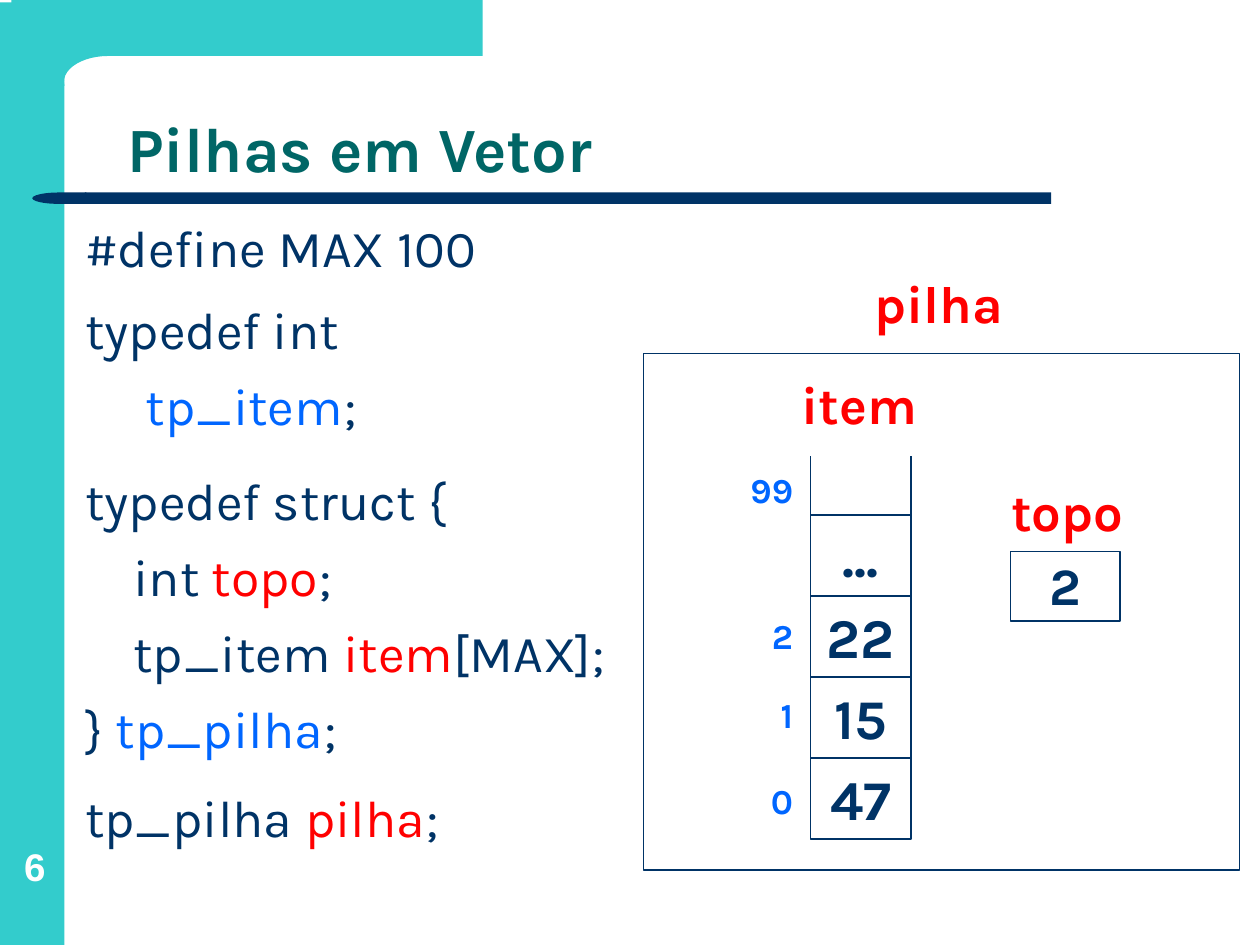
import math
import pptx
import pptx.util
import pptx.dml.color
import pptx.enum.shapes
import pptx.enum.text

Cm, Pt = pptx.util.Cm, pptx.util.Pt
Kind = pptx.enum.shapes.MSO_SHAPE
Align = pptx.enum.text.PP_ALIGN
Anchor = pptx.enum.text.MSO_ANCHOR

HUES = {"teal": "33CCCC", "navy": "003366", "green": "006666",
        "red": "FF0000", "blue": "0066FF", "white": "FFFFFF"}

CODE = [
    (0, 1, [("#define MAX 100", "navy")]),
    (0, 1.1, [("typedef int", "navy")]),
    (1.22, 1, [("tp_item", "blue"), (";", "navy")]),
    (0, 1.3, [("typedef struct {", "navy")]),
    (0.97, 1, [("int ", "navy"), ("topo", "red"), (";", "navy")]),
    (0.97, 1, [("tp_item ", "navy"), ("item", "red"), ("[MAX];", "navy")]),
    (0, 1, [("} ", "navy"), ("tp_pilha", "blue"), (";", "navy")]),
    (0, 1.2, [("tp_pilha ", "navy"), ("pilha", "red"), (";", "navy")]),
]

CELLS = [("", "99", 0.55), ("...", "", 0), ("22", "2", 0.24),
         ("15", "1", 0.21), ("47", "0", 0.31)]


def tint(name):
    return pptx.dml.color.RGBColor.from_string(HUES[name])


def style(font, size, hue, bold=True, face="Karla"):
    font.name, font.size, font.bold = face, Pt(size), bold
    font.color.rgb = tint(hue)


def paint(shape, fill=None, line=None, width=1):
    shape.shadow.inherit = False
    if fill:
        shape.fill.solid()
        shape.fill.fore_color.rgb = tint(fill)
    else:
        shape.fill.background()
    if line:
        shape.line.color.rgb = tint(line)
        shape.line.width = Pt(width)
    else:
        shape.line.fill.background()
    return shape


def block(slide, box, kind=Kind.RECTANGLE, **look):
    return paint(slide.shapes.add_shape(kind, *map(Cm, box)), **look)


def write(shape, text, size, hue, align=Align.CENTER, anchor=Anchor.TOP,
          inset=0.13, wrap=False, face="Karla"):
    frame = shape.text_frame
    frame.text = text
    frame.word_wrap = wrap
    frame.vertical_anchor = anchor
    frame.margin_top = frame.margin_bottom = Cm(inset)
    line = frame.paragraphs[0]
    line.alignment = align
    style(line.runs[0].font, size, hue, face=face)
    return frame


def label(slide, box, text, size, hue, **opts):
    return write(slide.shapes.add_textbox(*map(Cm, box)), text, size, hue, **opts)


def frame(slide, box):
    left, top, width, height = box
    block(slide, (left, top + 0.05, 1.3, height - 0.05), fill="teal")
    arc = [(left + 2.18 - 0.89 * math.sin(turn), top + 1.65 - 0.52 * math.cos(turn))
           for turn in (math.pi * step / 24 for step in range(13))]
    edge = [(left + 9.73, top), (left + 9.73, top + 1.13), *arc,
            (left + 1.3, top + 1.73), (left + 0.23, top + 1.73), (left + 0.23, top)]
    spots = [(Cm(x), Cm(y)) for x, y in edge]
    pen = slide.shapes.build_freeform(*spots[0])
    pen.add_line_segments(spots[1:], close=True)
    paint(pen.convert_to_shape(), fill="teal")
    page = label(slide, (left + 0.08, top + 16.56, 1.24, 1.37), "6", 22, "white",
                 anchor=Anchor.BOTTOM, inset=0, wrap=True, face="Arial")
    page.margin_left = page.margin_right = 0


def title(slide, box):
    left, top, width, height = box
    base = top + height
    block(slide, (left - 0.61, base, 19.48, 0.23), fill="navy")
    cap = block(slide, (left - 1.67, base, 1.09, 0.23), Kind.FLOWCHART_DELAY, fill="navy")
    cap.rotation = 180
    head = label(slide, box, "Pilhas em Vetor", 36, "green", align=Align.LEFT,
                 anchor=Anchor.BOTTOM, wrap=True)
    head.paragraphs[0].line_spacing = 0.9


def code(slide, box):
    body = slide.shapes.add_textbox(*map(Cm, box)).text_frame
    body.word_wrap = True
    for row, (indent, space, parts) in enumerate(CODE):
        line = body.add_paragraph() if row else body.paragraphs[0]
        line._p.get_or_add_pPr().set("marL", str(Cm(indent)))
        line.line_spacing = space
        line.space_before = Pt(8 if row else 0)
        for text, hue in parts:
            run = line.add_run()
            run.text = text
            style(run.font, 29.6, hue, bold=False)


def stack(slide, box):
    left, top, width, height = box
    block(slide, box, line="navy", width=0.75)
    for text, x, y in [("pilha", 4.3, -1.8), ("item", 2.7, 0.25), ("topo", 6.89, 2.39)]:
        label(slide, (left + x, top + y, 3.29, 1.12), text, 30, "red")
    peak = block(slide, (left + 7.39, top + 3.99, 2.21, 1.4), line="navy")
    write(peak, "2", 30, "navy", inset=0.03)
    size = 1.63
    for row, (value, index, drop) in enumerate(CELLS):
        y = top + size * (row + 1)
        cell = block(slide, (left + 3.36, y, 2.03, size), line="navy")
        if value:
            write(cell, value, 32, "navy")
        if index:
            label(slide, (left + 0.97, y + drop, 2.29, 1.12), index, 20, "blue",
                  align=Align.RIGHT)
    block(slide, (left + 3.18, top + 1.45, 2.39, 0.61), fill="white")


def main():
    deck = pptx.Presentation()
    deck.slide_width, deck.slide_height = Cm(25.4), Cm(19.05)
    slide = deck.slides.add_slide(deck.slide_layouts[6])
    frame(slide, (0, 0, 25.4, 19.05))
    title(slide, (2.32, 1.12, 21.62, 2.76))
    code(slide, (1.47, 4.22, 11.46, 14.73))
    stack(slide, (12.98, 7.13, 12.01, 10.41))
    deck.save("out.pptx")


if __name__ == "__main__":
    main()
